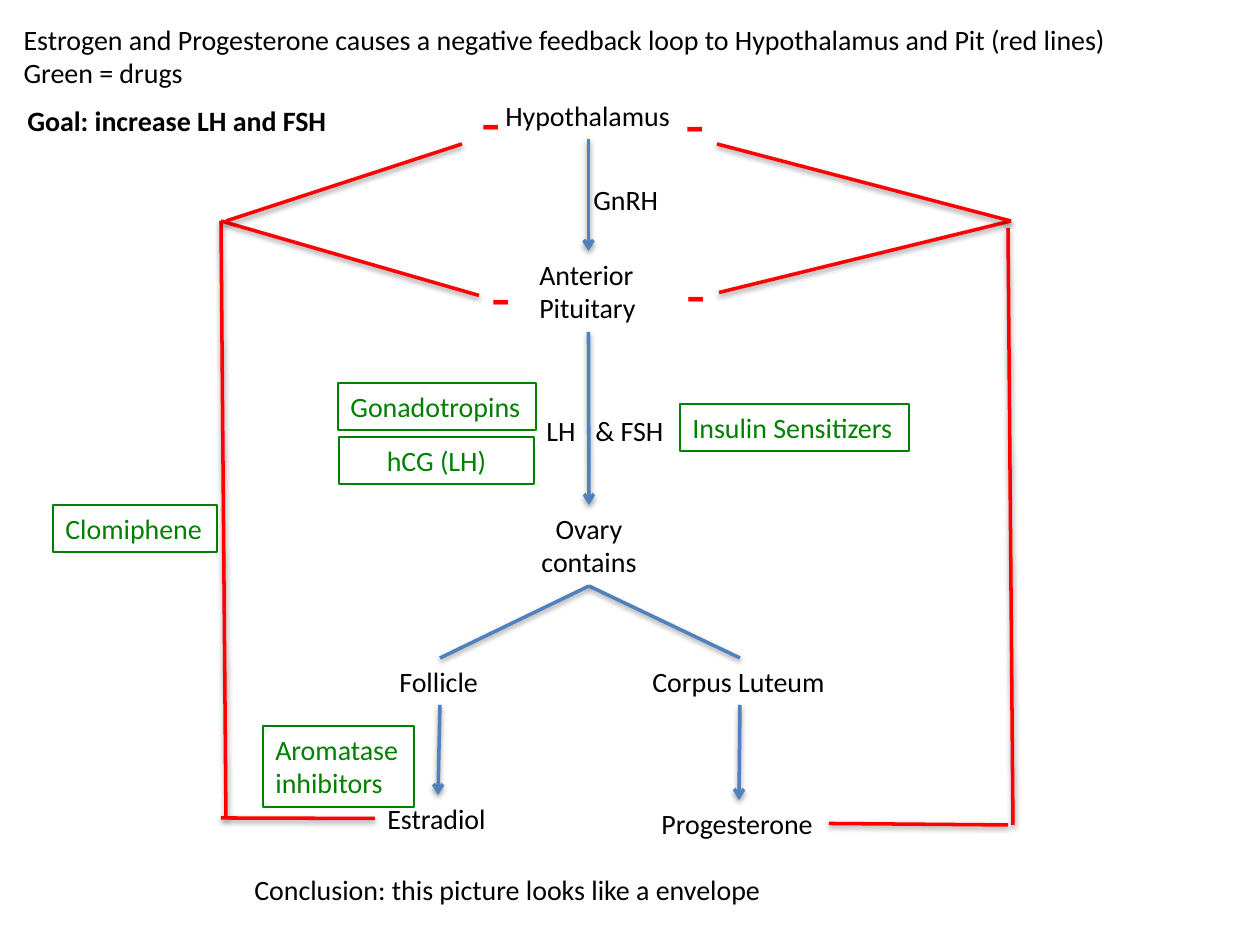
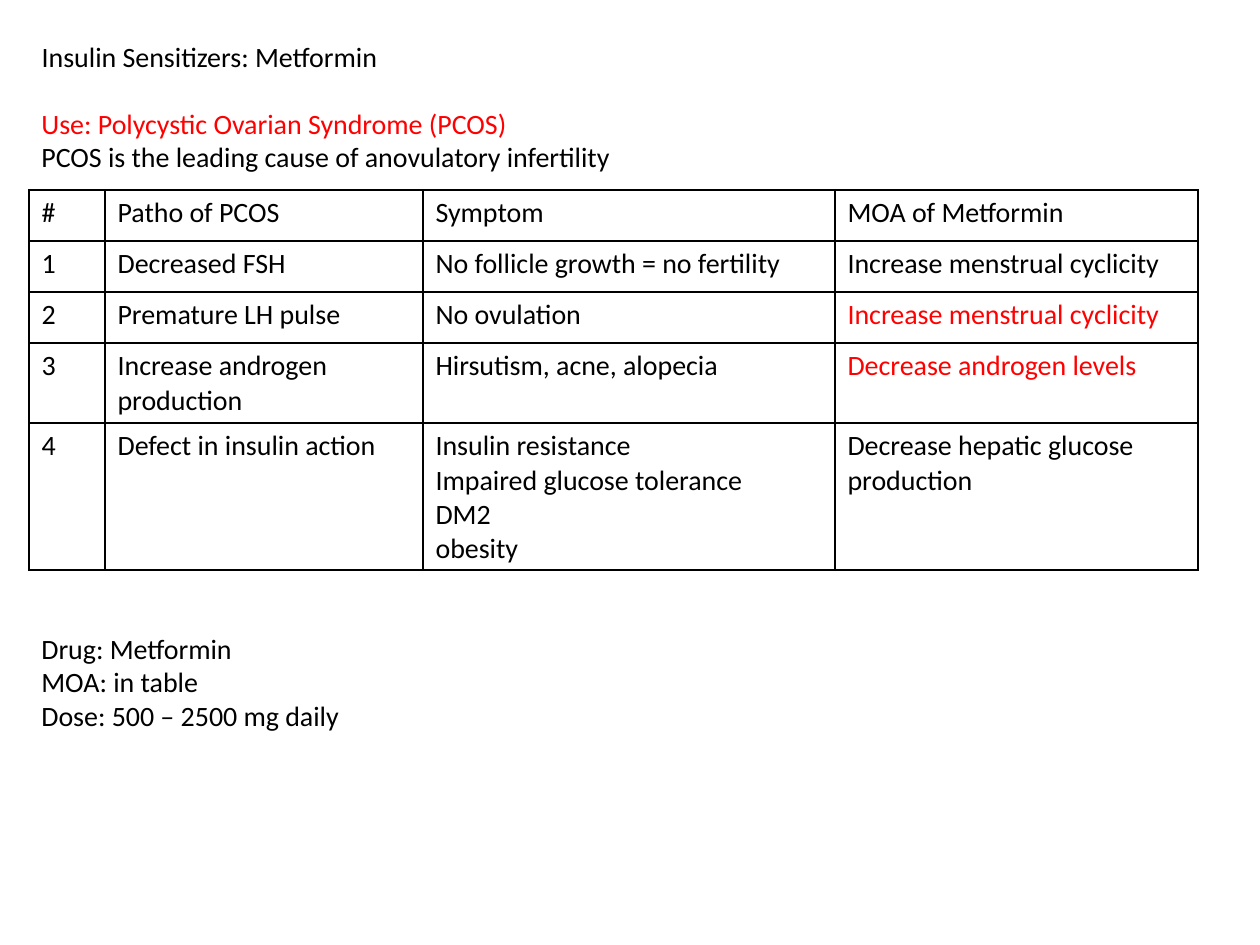
import pptx
import pptx.util
import pptx.dml.color
import pptx.enum.shapes
import pptx.enum.text
import pptx.oxml

PX = 914400 / 126
COLORS = {"text": "000000", "feedback": "FF0000", "drug": "008000", "pathway": "4F81BD"}
FONT = "Calibri"
ALIGN = pptx.enum.text.PP_ALIGN
NS = 'xmlns:a="http://schemas.openxmlformats.org/drawingml/2006/main"'
TOP, LEFT, BOTTOM, RIGHT = 0, 1, 2, 3
LINE_H, TWO_LINES_H = 47, 81

SHADOW = (
    f'<a:effectLst {NS}><a:outerShdw blurRad="40000" dist="20000" dir="5400000" rotWithShape="0">'
    '<a:srgbClr val="000000"><a:alpha val="38000"/></a:srgbClr></a:outerShdw></a:effectLst>'
)


def write(tf, text, color="text", size=16, bold=False, align=ALIGN.LEFT):
    tf.text = text
    for p in tf.paragraphs:
        p.alignment = align
        for r in p.runs:
            r.font.name = FONT
            r.font.size = pptx.util.Pt(size)
            r.font.bold = bold
            r.font.color.rgb = pptx.dml.color.RGBColor.from_string(COLORS[color])


def add_box(slide, box, text, color="text", wrap=False, **style):
    sp = slide.shapes.add_textbox(*[round(v * PX) for v in box])
    write(sp.text_frame, text, color, **style)
    sp.text_frame.word_wrap = wrap
    return sp


prs = pptx.Presentation()
prs.slide_width = round(1260 * PX)
prs.slide_height = round(945 * PX)

titles = [
    ("Estrogen and Progesterone causes a negative feedback loop to Hypothalamus and Pit (red lines)\n"
     "Green = drugs", (11, 16, 1126, TWO_LINES_H)),
    ("Insulin Sensitizers: Metformin", (29, 33, 1193, LINE_H)),
]
slides = []
for text, box in titles:
    s = prs.slides.add_slide(prs.slide_layouts[5])
    title = s.shapes.title
    title.left, title.top, title.width, title.height = [round(v * PX) for v in box]
    write(title.text_frame, text)
    title.text_frame.vertical_anchor = pptx.enum.text.MSO_ANCHOR.TOP
    title.text_frame.auto_size = pptx.enum.text.MSO_AUTO_SIZE.NONE
    slides.append(s)
loop_slide, metformin_slide = slides

organs = [
    ("Hypothalamus", 493, 92, 191, LINE_H),
    ("Anterior\nPituitary", 527, 251, 123, TWO_LINES_H),
    ("Ovary\ncontains", 528, 505, 122, TWO_LINES_H),
    ("Corpus Luteum", 640, 658, 200, LINE_H),
    ("Follicle", 387, 658, 106, LINE_H),
    ("Progesterone", 649, 800, 180, LINE_H),
    ("Estradiol", 375, 795, 126, LINE_H),
]
nodes = {}
for text, *box in organs:
    align = ALIGN.CENTER if text.startswith("Ovary") else ALIGN.LEFT
    nodes[text.split("\n")[0]] = add_box(loop_slide, box, text, align=align)

minus_signs = [
    ("minus top right", 673, 78),
    ("minus low right", 674, 248),
    ("minus low left", 479, 251),
    ("minus top left", 469, 76),
]
for name, x, y in minus_signs:
    nodes[name] = add_box(loop_slide, (x, y, 45, 89), "-", "feedback", size=36)

links = [
    (("Hypothalamus", BOTTOM), ("Anterior", TOP), "pathway", True),
    (("Anterior", BOTTOM), ("Ovary", TOP), "pathway", True),
    (("Ovary", BOTTOM), ("Corpus Luteum", TOP), "pathway", False),
    (("Ovary", BOTTOM), ("Follicle", TOP), "pathway", False),
    (("Follicle", BOTTOM), ("Estradiol", TOP), "pathway", True),
    (("Corpus Luteum", BOTTOM), ("Progesterone", TOP), "pathway", True),
    ((221, 221), (226, 818), "feedback", False),
    ((1008, 228), (1013, 825), "feedback", False),
    (("Progesterone", RIGHT), (1008, 825), "feedback", False),
    ((221, 818), ("Estradiol", LEFT), "feedback", False),
    (("minus low right", RIGHT), (1011, 221), "feedback", False),
    ((717, 144), (1011, 221), "feedback", False),
    (("minus low left", LEFT), (221, 221), "feedback", False),
    ((462, 144), (226, 221), "feedback", False),
]
for start, end, color, arrow in links:
    joined_start, joined_end = start[0] in nodes, end[0] in nodes
    points = [*((0, 0) if joined_start else start), *((0, 0) if joined_end else end)]
    cxn = loop_slide.shapes.add_connector(
        pptx.enum.shapes.MSO_CONNECTOR.STRAIGHT, *[round(v * PX) for v in points])
    if joined_start:
        cxn.begin_connect(nodes[start[0]], start[1])
    if joined_end:
        cxn.end_connect(nodes[end[0]], end[1])
    cxn.line.width = pptx.util.Pt(2)
    cxn.line.color.rgb = pptx.dml.color.RGBColor.from_string(COLORS[color])
    if arrow:
        cxn.line._get_or_add_ln().append(pptx.oxml.parse_xml(f'<a:tailEnd {NS} type="arrow"/>'))
    cxn._element.spPr.append(pptx.oxml.parse_xml(SHADOW))

labels = [
    ("GnRH", 581, 176, 91, False),
    ("LH", 534, 407, 55, False),
    ("& FSH", 583, 407, 95, False),
    ("Conclusion: this picture looks like a envelope", 242, 866, 541, False),
    ("Goal: increase LH and FSH", 15, 97, 329, True),
]
for text, x, y, w, bold in labels:
    add_box(loop_slide, (x, y, w, LINE_H), text, bold=bold)

drugs = [
    ("Clomiphene", 53, 505, 164, LINE_H),
    ("Gonadotropins", 338, 383, 198, LINE_H),
    ("hCG (LH)", 339, 437, 195, LINE_H),
    ("Insulin Sensitizers", 680, 404, 229, LINE_H),
    ("Aromatase\ninhibitors", 263, 726, 151, TWO_LINES_H),
]
for text, *box in drugs:
    align = ALIGN.CENTER if text.startswith("hCG") else ALIGN.LEFT
    sp = add_box(loop_slide, box, text, "drug", align=align)
    sp.line.width = pptx.util.Pt(0.75)
    sp.line.color.rgb = pptx.dml.color.RGBColor.from_string(COLORS["drug"])

use = add_box(metformin_slide, (29, 100, 1193, TWO_LINES_H),
              "Use: Polycystic Ovarian Syndrome (PCOS)\n"
              "PCOS is the leading cause of anovulatory infertility", wrap=True)
use.text_frame.paragraphs[0].runs[0].font.color.rgb = pptx.dml.color.RGBColor.from_string(
    COLORS["feedback"])

rows = [
    ("#", "Patho of PCOS", "Symptom", "MOA of Metformin"),
    ("1", "Decreased FSH", "No follicle growth = no fertility", "Increase menstrual cyclicity"),
    ("2", "Premature LH pulse", "No ovulation", "Increase menstrual cyclicity"),
    ("3", "Increase androgen production", "Hirsutism, acne, alopecia", "Decrease androgen levels"),
    ("4", "Defect in insulin action",
     "Insulin resistance\nImpaired glucose tolerance\nDM2\nobesity",
     "Decrease hepatic glucose production"),
]
col_widths = [76, 318, 412, 363]
row_heights = [51, 51, 51, 80, 147]
highlighted = {(2, 3), (3, 3)}
box = (29, 190, sum(col_widths), sum(row_heights))
table = metformin_slide.shapes.add_table(
    len(rows), len(col_widths), *[round(v * PX) for v in box]).table
table.first_row = False
table.horz_banding = False
for col, w in zip(table.columns, col_widths):
    col.width = round(w * PX)
for i, (row, h) in enumerate(zip(rows, row_heights)):
    table.rows[i].height = round(h * PX)
    for j, text in enumerate(row):
        cell = table.cell(i, j)
        write(cell.text_frame, text, "feedback" if (i, j) in highlighted else "text")
        tcPr = cell._tc.get_or_add_tcPr()
        for side in "LRTB":
            tcPr.append(pptx.oxml.parse_xml(
                f'<a:ln{side} {NS} w="12700"><a:solidFill><a:srgbClr val="{COLORS["text"]}"/>'
                f'</a:solidFill></a:ln{side}>'))
        cell.fill.background()

add_box(metformin_slide, (29, 625, 326, 115),
        "Drug: Metformin\nMOA: in table\nDose: 500 – 2500 mg daily")

prs.save("out.pptx")
